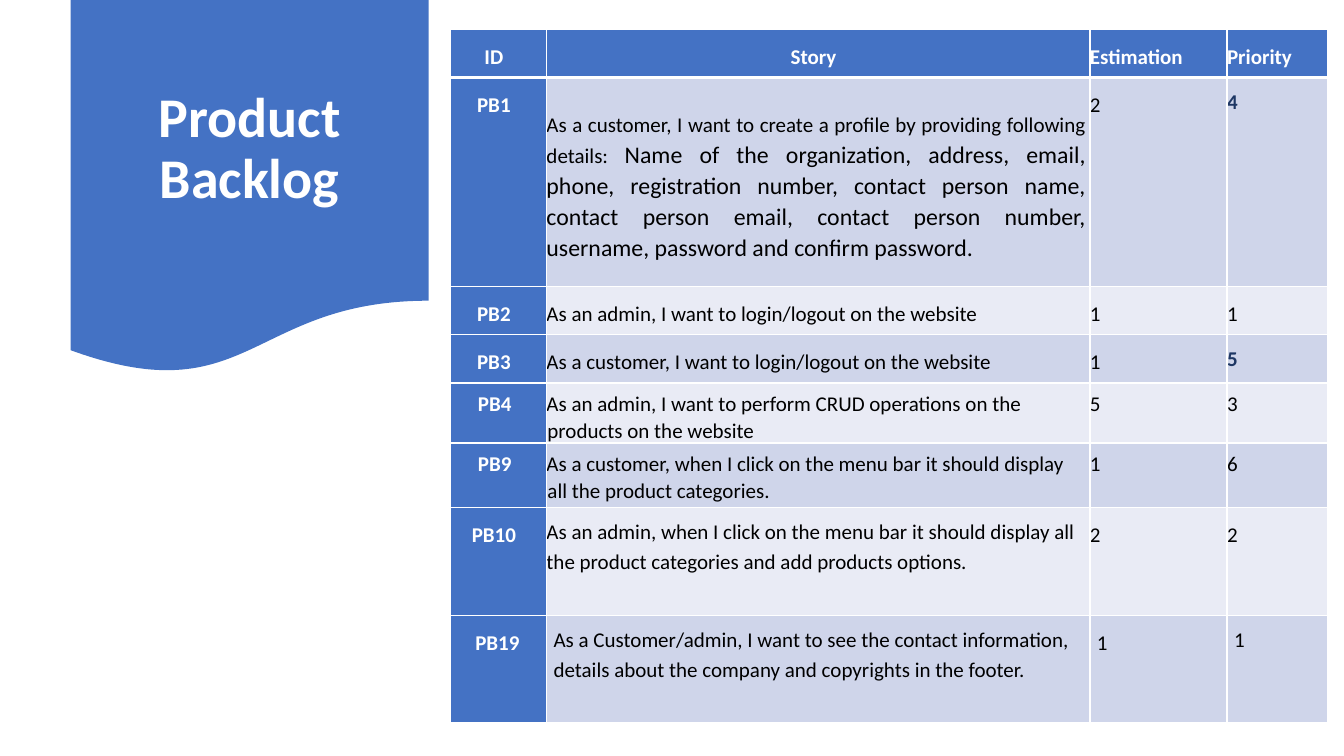
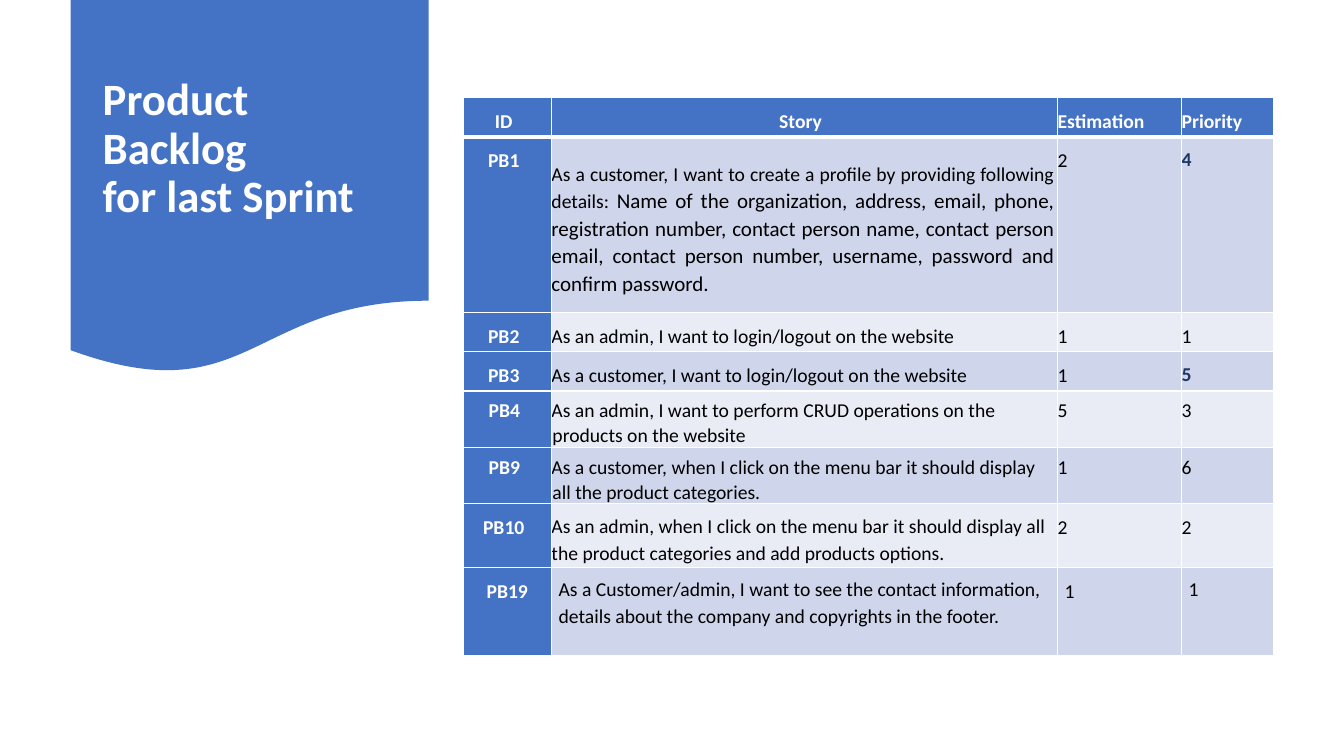
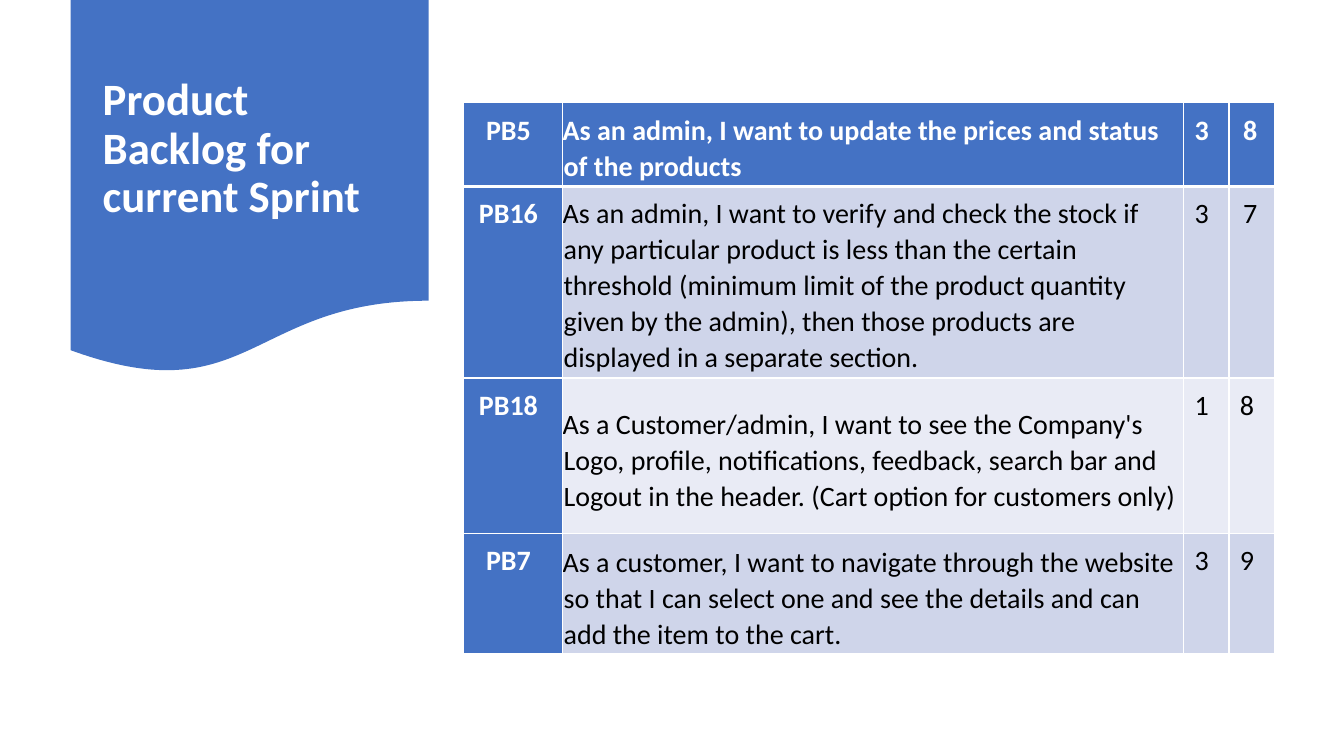
from lxml.etree import SubElement
from pptx import Presentation
from pptx.dml.color import RGBColor
from pptx.enum.shapes import MSO_SHAPE
from pptx.enum.text import MSO_ANCHOR, PP_ALIGN
from pptx.oxml.ns import qn
from pptx.util import Emu, Pt

# Shared look
PX = 9144  # 100 px to the inch
FONT = "Calibri"
BLUE, NAVY, WHITE, BLACK = "4472C4", "1E3764", "FFFFFF", "000000"
BANDS = ("CFD5EA", "E9EBF5")
BANNER = (70, 0, 355, 372)
TITLE = (92, 19, 311, 259)
LEFT, CENTER, JUSTIFY = PP_ALIGN.LEFT, PP_ALIGN.CENTER, PP_ALIGN.JUSTIFY

# Row kinds: line spacing, left margin px, first-line indent px
LOOSE, TIGHT, INDENTED = (1.07, 0, 0), (1.05, 1, -1), (1.07, 7, 0)

# Content: ID, story, estimation, priority, row kind
# A story given as a pair has its second part in the larger size
BACKLOG = [
    ("ID", "Story", "Estimation", "Priority", LOOSE),
    ("PB1", ("As a customer, I want to create a profile by providing following details: ",
             "Name of the organization, address, email, phone, registration number, "
             "contact person name, contact person email, contact person number, "
             "username, password and confirm password."), "2", "4", LOOSE),
    ("PB2", "As an admin, I want to login/logout on the website", "1", "1", LOOSE),
    ("PB3", "As a customer, I want to login/logout on the website", "1", "5", LOOSE),
    ("PB4 ", "As an admin, I want to perform CRUD operations on the products "
             "on the website", "5", "3", TIGHT),
    ("PB9 ", "As a customer, when I click on the menu bar it should display "
             "all the product categories.", "1", "6", TIGHT),
    ("PB10", "As an admin, when I click on the menu bar it should display all the "
             "product categories and add products options.", "2", "2", LOOSE),
    ("PB19", "As a Customer/admin, I want to see the contact information, details "
             "about the company and copyrights in the footer.", "1", "1", INDENTED),
]
CURRENT_SPRINT = [
    ("PB5 ", "As an admin, I want to update the prices and status of the products",
     "3 ", "8", TIGHT),
    ("PB16 ", "As an admin, I want to verify and check the stock if any particular "
              "product is less than the certain threshold (minimum limit of the product "
              "quantity given by the admin), then those products are displayed in a "
              "separate section.", "3 ", "7", TIGHT),
    ("PB18 ", "As a Customer/admin, I want to see the Company's Logo, profile, "
              "notifications, feedback, search bar and Logout in the header. "
              "(Cart option for customers only)", "1 ", "8 ", TIGHT),
    ("PB7 ", "As a customer, I want to navigate through the website so that I can "
             "select one and see the details and can add the item to the cart.",
     "3 ", "9 ", TIGHT),
]
MIDDLE_STORIES = {"PB1", "PB4 ", "PB18 ", "PB7 "}
HIGHLIGHTED_PRIORITIES = {"4", "5"}
ALIGNMENTS = {("ID", 1): CENTER, ("ID", 2): JUSTIFY, ("PB1", 1): JUSTIFY}

# sizes: base and larger text; insets: (top, right) for loose and tight rows
SLIDES = [
    dict(title="Product Backlog", title_size=40, title_align=CENTER, stories=BACKLOG,
         corner=(447, 29), columns=(95, 539, 136, 100),
         heights=(48, 207, 48, 48, 48, 64, 107, 107), sizes=(15, 17),
         insets=((10, 4), (7, 3)), number_align=LEFT),
    dict(title="Product Backlog\nfor last Sprint", title_size=32, title_align=LEFT,
         stories=BACKLOG, corner=(460, 97), columns=(87, 502, 123, 91),
         heights=(39, 174, 39, 39, 56, 56, 63, 88), sizes=(14, 15),
         insets=((9, 3), (7, 2)), number_align=LEFT),
    dict(title="Product Backlog for current Sprint", title_size=32, title_align=LEFT,
         stories=CURRENT_SPRINT, corner=(460, 102), columns=(98, 616, 45, 45),
         heights=(83, 190, 154, 119), sizes=(20, 20),
         insets=((9, 3), (9, 3)), number_align=CENTER),
]


def px(*lengths):
    return [Emu(length * PX) for length in lengths]


def rgb(color):
    return RGBColor.from_string(color)


def style(font, size, color, bold):
    font.name, font.size, font.bold = FONT, Pt(size), bold
    font.color.rgb = rgb(color)


def add_banner_title(slide, text, size, align):
    banner = slide.shapes.add_shape(MSO_SHAPE.FLOWCHART_DOCUMENT, *px(*BANNER))
    banner.shadow.inherit = False
    banner.fill.solid()
    banner.fill.fore_color.rgb = rgb(BLUE)
    banner.line.fill.background()

    frame = slide.shapes.add_textbox(*px(*TITLE)).text_frame
    frame.word_wrap = True
    frame.vertical_anchor = MSO_ANCHOR.MIDDLE
    heading = frame.paragraphs[0]
    heading.text = text
    heading.alignment, heading.line_spacing = align, 0.9
    style(heading.font, size, WHITE, True)


def set_borders(cell, row):
    """White grid, with a thick rule below the first row."""
    properties = cell._tc.get_or_add_tcPr()
    widths = {"a:lnL": 1, "a:lnR": 1, "a:lnT": 3 if row == 1 else 1,
              "a:lnB": 3 if row == 0 else 1}
    for position, (side, width) in enumerate(widths.items()):
        line = SubElement(properties, qn(side), w=str(Pt(width)))
        SubElement(SubElement(line, qn("a:solidFill")), qn("a:srgbClr"), val=WHITE)
        properties.insert(position, line)


def fill_cell(cell, row, column, story_id, content, kind, layout):
    header = row == 0 or column == 0
    highlighted = column == 3 and content in HIGHLIGHTED_PRIORITIES
    base_size, large_size = layout["sizes"]
    spacing, margin, indent = kind

    # Frame
    cell.fill.solid()
    cell.fill.fore_color.rgb = rgb(BLUE if header else BANDS[(row - 1) % 2])
    set_borders(cell, row)
    top, right = layout["insets"][kind == TIGHT]
    cell.margin_left, cell.margin_top, cell.margin_right, cell.margin_bottom = px(
        0, top, right, 0)
    if column == 1 and story_id in MIDDLE_STORIES:
        cell.vertical_anchor = MSO_ANCHOR.MIDDLE

    # Text
    paragraph = cell.text_frame.paragraphs[0]
    paragraph.line_spacing = spacing
    default = (CENTER, LEFT, layout["number_align"], layout["number_align"])[column]
    paragraph.alignment = ALIGNMENTS.get((story_id, column), default)
    paragraph_properties = paragraph._p.get_or_add_pPr()
    paragraph_properties.set("marL", str(margin * PX))
    paragraph_properties.set("indent", str(indent * PX))
    color = WHITE if header else NAVY if highlighted else BLACK
    style(paragraph.font, base_size, color, header or highlighted)

    lead, large = content if isinstance(content, tuple) else (content, "")
    paragraph.add_run().text = lead
    plain_priority = column == 3 and (highlighted or kind == INDENTED)
    if kind != TIGHT and not plain_priority:
        ending = paragraph.add_run()
        ending.text = large + " "
        ending.font.size = Pt(large_size)


def add_backlog(slide, layout):
    stories, columns, heights = layout["stories"], layout["columns"], layout["heights"]
    table = slide.shapes.add_table(
        len(stories), len(columns),
        *px(*layout["corner"], sum(columns), sum(heights))).table
    table.first_row = table.horz_banding = False
    for column, width in zip(table.columns, px(*columns)):
        column.width = width
    for table_row, height in zip(table.rows, px(*heights)):
        table_row.height = height
    for row, (*contents, kind) in enumerate(stories):
        for column, content in enumerate(contents):
            fill_cell(table.cell(row, column), row, column, contents[0], content,
                      kind, layout)


def main():
    deck = Presentation()
    deck.slide_width, deck.slide_height = px(1333, 750)
    for layout in SLIDES:
        slide = deck.slides.add_slide(deck.slide_layouts[6])
        add_banner_title(slide, layout["title"], layout["title_size"],
                         layout["title_align"])
        add_backlog(slide, layout)
    deck.save("out.pptx")


if __name__ == "__main__":
    main()
